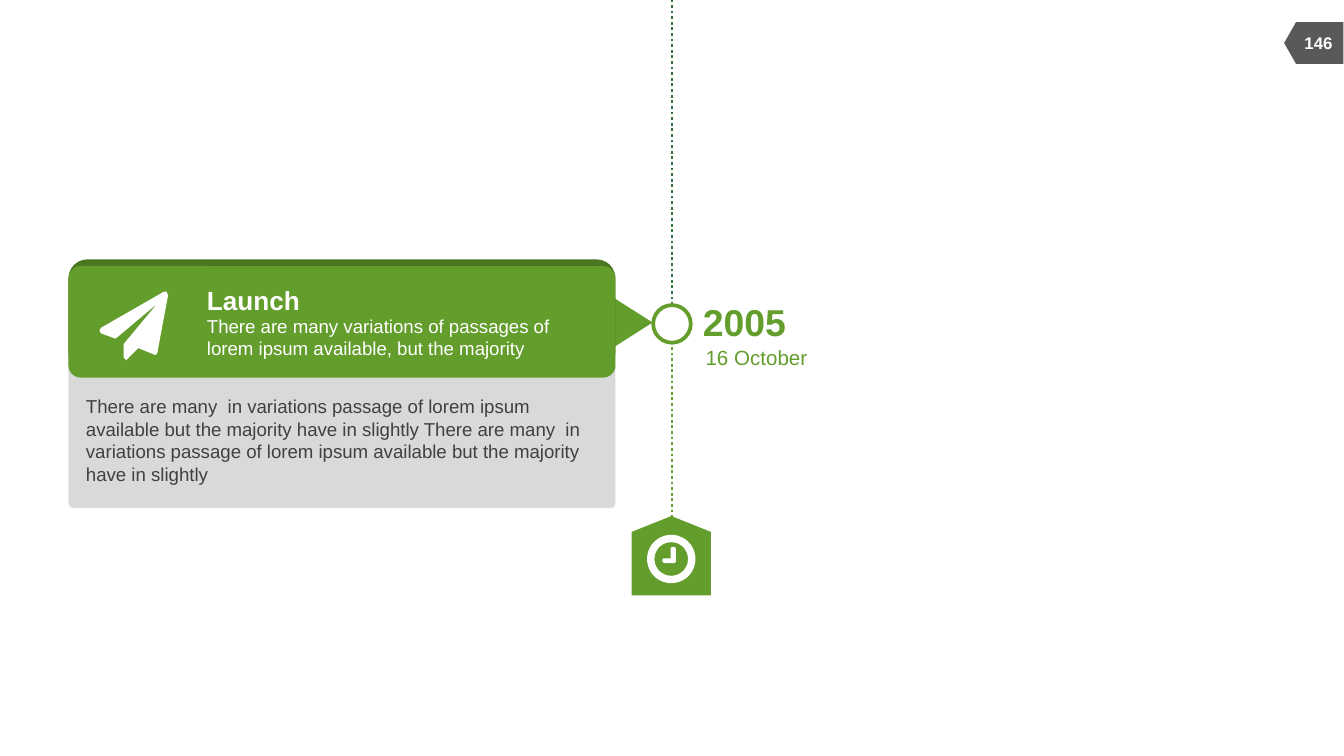
import math

import pptx
import pptx.dml.color
import pptx.enum.dml
import pptx.enum.shapes
import pptx.enum.text
import pptx.oxml
import pptx.oxml.ns
import pptx.util

SHAPES = pptx.enum.shapes.MSO_SHAPE
ANCHORS = pptx.enum.text.MSO_ANCHOR
ALIGNS = pptx.enum.text.PP_ALIGN
FITS = pptx.enum.text.MSO_AUTO_SIZE

COLUMNS, ROWS = 100, 56.25
CELL = pptx.util.Inches(10) / COLUMNS
AXIS = 50  # column of the timeline

COLORS = {
    "green": "639D2C",
    "card edge": "4A7621",
    "past line": "307240",
    "panel": "D9D9D9",
    "tab": "595959",
    "body": "404040",
    "white": "FFFFFF",
}

PLANE = [
    (12.5, 22), (11.7, 26.3), (11.6, 26.4), (11.5, 26.4), (10.3, 25.9),
    (9.5, 26.7), (9.4, 26.8), (9.2, 26.6), (9.2, 25.6), (11.7, 22.6),
    (8.6, 25.2), (7.5, 24.8), (7.4, 24.6), (7.5, 24.4), (12.2, 21.7),
    (12.4, 21.7),
]
CLOCK_CENTER = (49.95, 41.6)
CLOCK_HANDS = [
    (50.3, 41.8), (50.2, 41.9), (49.4, 41.9), (49.3, 41.8), (49.3, 41.6),
    (49.4, 41.55), (49.9, 41.55), (49.9, 40.8), (50, 40.7), (50.2, 40.7),
    (50.3, 40.8),
]


def cells(count):
    return pptx.util.Emu(round(count * CELL))


def color(name):
    return pptx.dml.color.RGBColor.from_string(COLORS[name])


def paint(shape, fill, outline=None, weight=0):
    shape.shadow.inherit = False
    shape.fill.solid()
    shape.fill.fore_color.rgb = color(fill)
    if outline:
        shape.line.color.rgb = color(outline)
        shape.line.width = pptx.util.Pt(weight)
    else:
        shape.line.fill.background()


def add_preset(slide, kind, box, fill, rotation=0, corner=None, **outline):
    """Draw a preset shape; box is left, top, width, height in cells."""
    shape = slide.shapes.add_shape(kind, *map(cells, box))
    shape.rotation = rotation
    if corner is not None:
        shape.adjustments[0] = corner
    paint(shape, fill, **outline)


def add_outline(slide, contours, fill):
    """Draw closed contours as one shape, inner contours cutting holes."""
    scaled = [[(x * 100, y * 100) for x, y in contour] for contour in contours]
    builder = slide.shapes.build_freeform(*scaled[0][0], scale=CELL / 100)
    builder.add_line_segments(scaled[0][1:], close=True)
    for contour in scaled[1:]:
        builder.move_to(*contour[0])
        builder.add_line_segments(contour[1:], close=True)
    paint(builder.convert_to_shape(), fill)


def circle(center, radius, steps=60):
    angles = [2 * math.pi * step / steps for step in range(steps)]
    return [(center[0] + radius * math.cos(angle),
             center[1] + radius * math.sin(angle)) for angle in angles]


def add_dotted_line(slide, top, bottom, stroke):
    line = slide.shapes.add_connector(
        pptx.enum.shapes.MSO_CONNECTOR.STRAIGHT,
        cells(AXIS), cells(top), cells(AXIS), cells(bottom))
    line.line.color.rgb = color(stroke)
    line.line.width = pptx.util.Pt(1.5)
    line.line.dash_style = pptx.enum.dml.MSO_LINE.ROUND_DOT
    line._element.spPr.append(
        pptx.oxml.parse_xml(f"<a:effectLst {pptx.oxml.ns.nsdecls('a')}/>"))


def add_text(slide, words, box, size, ink, bold=False, wrap=True,
             anchor=ANCHORS.TOP, align=ALIGNS.LEFT, fit=FITS.SHAPE_TO_FIT_TEXT):
    frame = slide.shapes.add_textbox(*map(cells, box)).text_frame
    frame_format = {
        "margin_left": 0, "margin_top": 0, "margin_right": 0,
        "margin_bottom": 0, "word_wrap": wrap, "vertical_anchor": anchor,
        "auto_size": fit,
    }
    for name, value in frame_format.items():
        setattr(frame, name, value)
    paragraph = frame.paragraphs[0]
    paragraph.alignment = align
    run = paragraph.add_run()
    run.text = words
    font_format = {"name": "Arial", "size": pptx.util.Pt(size), "bold": bold}
    for name, value in font_format.items():
        setattr(run.font, name, value)
    run.font.color.rgb = color(ink)


def add_page_tab(slide):
    add_preset(slide, SHAPES.FLOWCHART_OFFPAGE_CONNECTOR,
               (96.2, 1, 3.1, 4.4), "tab", rotation=90)
    add_text(slide, "146", (96, 1.7, 4.2, 3), 9, "white", bold=True,
             anchor=ANCHORS.MIDDLE, align=ALIGNS.CENTER, fit=FITS.NONE)


def add_event_card(slide):
    left, width = 5.1, 40.7
    add_preset(slide, SHAPES.ROUNDED_RECTANGLE, (left, 25.4, width, 12.4),
               "panel", corner=0.03)
    add_preset(slide, SHAPES.ISOSCELES_TRIANGLE, (44, 22, 5.1, 4),
               "green", rotation=90)
    for top, fill, corner in ((19.3, "card edge", 0.17),
                              (19.8, "green", 0.11)):
        add_preset(slide, SHAPES.ROUNDED_RECTANGLE, (left, top, width, 8.3),
                   fill, corner=corner)
    add_outline(slide, [PLANE], "white")
    add_text(slide, "Launch", (15.4, 21.1, 7, 2.4), 14, "white",
             bold=True, wrap=False, anchor=ANCHORS.MIDDLE)
    add_text(slide, "There are many variations of passages of lorem ipsum "
             "available, but the majority", (15.4, 23.4, 27.6, 3.4),
             10, "white")
    add_text(slide, "There are many  in variations passage of lorem ipsum "
             "available but the majority have in slightly There are many  in "
             "variations passage of lorem ipsum available but the majority "
             "have in slightly", (6.4, 29.4, 37.7, 6.7), 10, "body")


def add_date(slide):
    add_preset(slide, SHAPES.OVAL, (AXIS - 1.4, 22.7, 2.8, 2.8), "white",
               outline="green", weight=2)
    add_text(slide, "2005", (52.3, 22.2, 6.2, 3.4), 20, "green",
             bold=True, wrap=False, anchor=ANCHORS.MIDDLE)
    add_text(slide, "16 October", (52.5, 25.6, 7.6, 1.9), 11, "green",
             wrap=False, anchor=ANCHORS.MIDDLE)


def add_clock_marker(slide):
    add_preset(slide, SHAPES.FLOWCHART_OFFPAGE_CONNECTOR,
               (47, 38.4, 5.9, 5.9), "green", rotation=180)
    add_outline(slide, [circle(CLOCK_CENTER, 1.8), circle(CLOCK_CENTER, 1.25),
                        CLOCK_HANDS], "white")


def main():
    deck = pptx.Presentation()
    deck.slide_width, deck.slide_height = cells(COLUMNS), cells(ROWS)
    slide = deck.slides.add_slide(deck.slide_layouts[6])
    add_page_tab(slide)
    add_dotted_line(slide, 25.4, 38.8, "green")
    add_dotted_line(slide, 22.7, 0, "past line")
    add_event_card(slide)
    add_date(slide)
    add_clock_marker(slide)
    deck.save("out.pptx")


if __name__ == "__main__":
    main()
